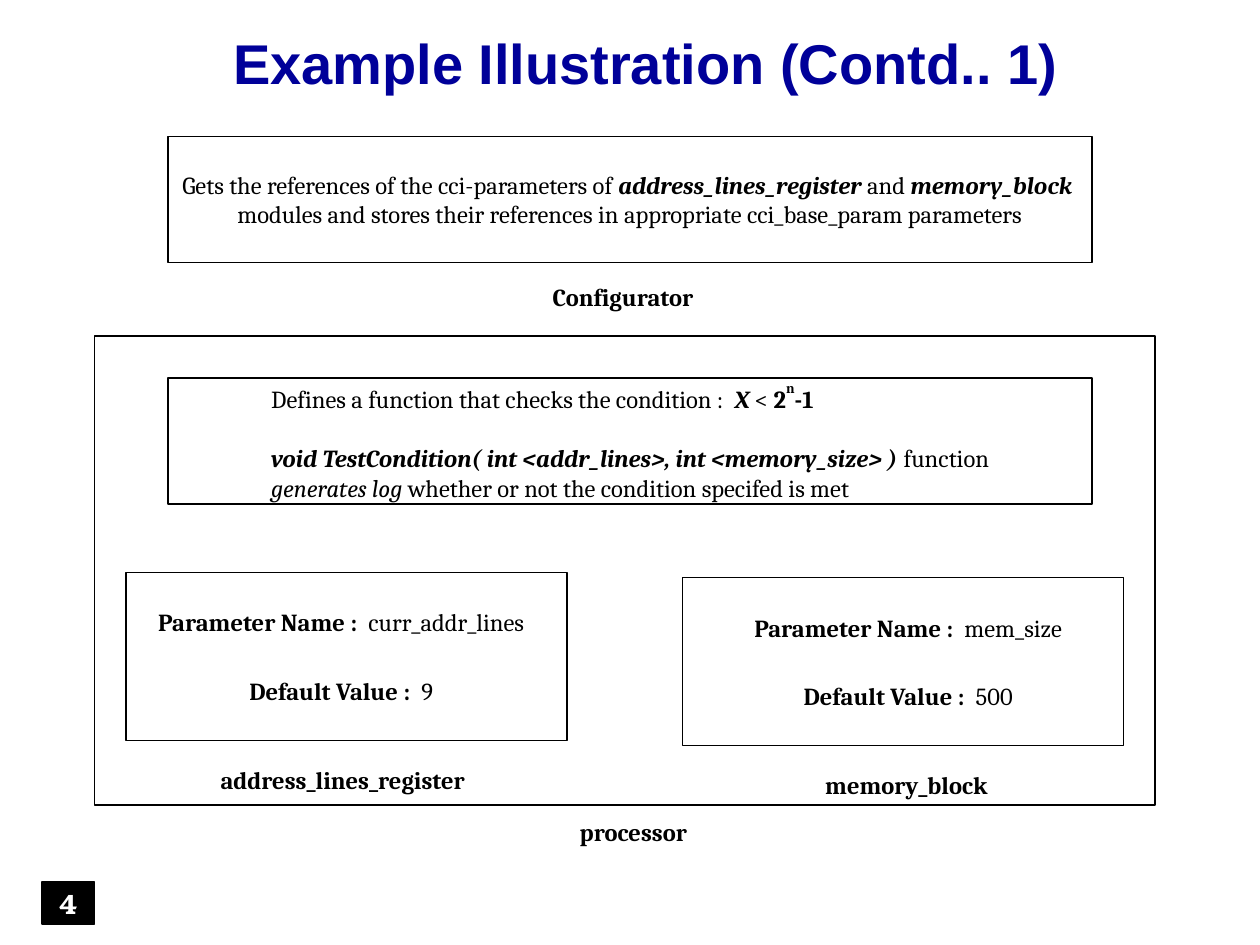
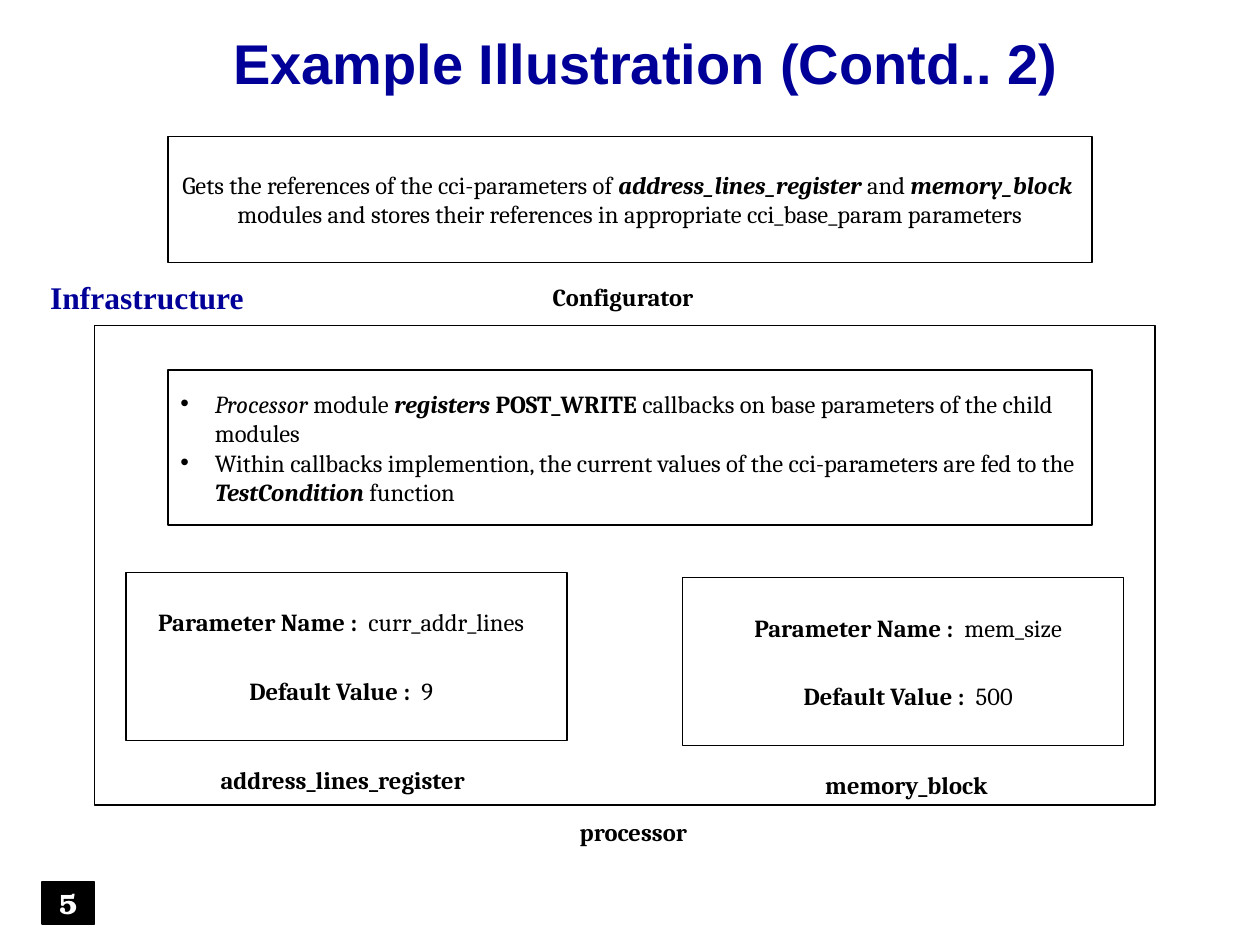
from pptx import Presentation
from pptx.dml.color import RGBColor
from pptx.enum.shapes import MSO_SHAPE as Shape
from pptx.enum.text import MSO_ANCHOR as Anchor, MSO_AUTO_SIZE as AutoSize, PP_ALIGN as Align
from pptx.oxml.ns import qn
from pptx.util import Pt
from lxml import etree

COLORS = {"ink": "000000", "paper": "FFFFFF", "heading": "000099"}
BODY_FONT = "Cambria"
TITLE_ONLY = 5
BULLET_INDENT = 19.7

CONFIGURATOR_TEXT = [[
    ("Gets the references of the cci-parameters of ", ""),
    ("address_lines_register", "bi"), (" and ", ""), ("memory_block", "bi"),
    ("  modules and stores their references in appropriate cci_base_param parameters", ""),
]]
CONDITION_TEXT = [
    [("Defines a function that checks the condition :  ", ""), ("X", "bi"),
     (" < ", ""), ("2", "b"), ("n", "b^"), ("-1", "b")],
    [("void TestCondition( int <addr_lines>, int <memory_size> )", "bi"), (" function", "")],
    [("generates log", "i"), (" whether or not the condition specifed is met", "")],
]
CALLBACK_TEXT = [
    [("Processor", "i"), (" module ", ""), ("registers ", "bi"), ("POST_WRITE ", "b"),
     ("callbacks on base parameters of the child modules", "")],
    [("Within callbacks implemention, the current values of the cci-parameters are fed to the ", ""),
     ("TestCondition", "bi"), (" function", "")],
]


def rgb(name):
    return RGBColor.from_string(COLORS[name])


def write(box, paras, size=14, font=BODY_FONT, color="ink", align=Align.CENTER,
          spacing=None, gaps=(), inset=7.2, bullets=False, wrap=True):
    frame = box.text_frame
    frame.word_wrap = wrap
    frame.auto_size = AutoSize.NONE
    frame.vertical_anchor = Anchor.MIDDLE
    frame.margin_left, frame.margin_right = Pt(inset), Pt(7.2)
    frame.margin_top = frame.margin_bottom = Pt(3.6)
    for index, spans in enumerate(paras):
        para = frame.add_paragraph() if index else frame.paragraphs[0]
        para.alignment = align
        para.line_spacing = spacing
        if index < len(gaps):
            para.space_before = Pt(gaps[index])
        if bullets:
            add_bullet(para)
        for text, style in spans:
            span = para.add_run()
            span.text = text
            span.font.size = Pt(size)
            span.font.name = font
            span.font.color.rgb = rgb(color)
            span.font.bold = "b" in style
            span.font.italic = "i" in style
            if "^" in style:
                span._r.get_or_add_rPr().set("baseline", "60000")


def add_bullet(para):
    props = para._p.get_or_add_pPr()
    props.set("marL", str(Pt(BULLET_INDENT)))
    props.set("indent", str(-Pt(BULLET_INDENT)))
    etree.SubElement(props, qn("a:buFont")).set("typeface", "Arial")
    etree.SubElement(props, qn("a:buChar")).set("char", "•")


def add_box(page, left, top, width, height, fill="paper", line="ink"):
    box = page.shapes.add_shape(Shape.RECTANGLE, Pt(left), Pt(top), Pt(width), Pt(height))
    box.shadow.inherit = False
    if fill:
        box.fill.solid()
        box.fill.fore_color.rgb = rgb(fill)
    else:
        box.fill.background()
    if line:
        box.line.color.rgb = rgb(line)
        box.line.width = Pt(0.75)
    else:
        box.line.fill.background()
    return box


def add_label(page, center, top, width, spans, height=21):
    box = add_box(page, center - width / 2, top, width, height, line=None)
    write(box, [spans])


def add_title(page, text):
    title = page.shapes.title
    title.left, title.top, title.width, title.height = Pt(96), Pt(17), Pt(546), Pt(43)
    write(title, [[(text, "b")]], size=32, font="Arial", color="heading", spacing=0.85)


def add_configurator(page, left, top, width, height):
    write(add_box(page, left, top, width, height), CONFIGURATOR_TEXT)
    add_label(page, left + width / 2 - 4, top + height + 9, 196, [("Configurator", "b")])


def add_processor(page, left, top, width, height):
    add_box(page, left, top, width, height)
    add_label(page, left + width / 2 + 5, top + height + 6.5, 196, [("processor", "b")], height=17)


def add_module(page, left, top, name, parameter, value, text_shift, name_shift):
    width, height = 252, 96
    center = left + width / 2
    add_box(page, left, top, width, height)
    add_label(page, center + name_shift, top + height + 12, 196, [(name, "b")])
    add_label(page, center + text_shift, top + 18, 234,
              [("Parameter Name :", "b"), (f"  {parameter}", "")])
    add_label(page, center + text_shift, top + 57, 144,
              [("Default Value :", "b"), (f"  {value}", "")])


def add_page_number(page, number):
    box = add_box(page, 24, 504, 30, 24, fill="ink")
    write(box, [[(str(number), "b")]], size=16, font="TeX Gyre Bonum", color="paper", wrap=False)


def add_illustration(deck, part, number, processor_top):
    page = deck.slides.add_slide(deck.slide_layouts[TITLE_ONLY])
    add_title(page, f"Example Illustration (Contd.. {part})")
    add_processor(page, 54, processor_top, 606, 460 - processor_top)
    add_configurator(page, 96, 78, 528, 72)
    add_module(page, 72, 327, "address_lines_register", "curr_addr_lines", 9, -3, -2)
    add_module(page, 390, 330, "memory_block", "mem_size", 500, 3, 2)
    add_page_number(page, number)
    return page


def add_condition(page, left, top, width, height):
    box = add_box(page, left, top, width, height)
    write(box, CONDITION_TEXT, align=Align.LEFT, gaps=(0, 17), inset=59)


def add_callbacks(page, left, top, width, height):
    box = add_box(page, left, top, width, height)
    write(box, CALLBACK_TEXT, align=Align.LEFT, bullets=True)


def add_infrastructure(page, left, top, width, height):
    box = add_box(page, left, top, width, height, fill=None, line=None)
    write(box, [[("Infrastructure", "b")]], size=18, font="Times New Roman",
          color="heading", spacing=0.85)


def main():
    deck = Presentation()
    deck.slide_width, deck.slide_height = Pt(720), Pt(540)
    condition_page = add_illustration(deck, 1, 4, 192)
    add_condition(condition_page, 96, 216, 528, 72)
    callback_page = add_illustration(deck, 2, 5, 186)
    add_infrastructure(callback_page, 18, 162, 132, 19)
    add_callbacks(callback_page, 96, 211.5, 528, 88.5)
    deck.save("out.pptx")


if __name__ == "__main__":
    main()
